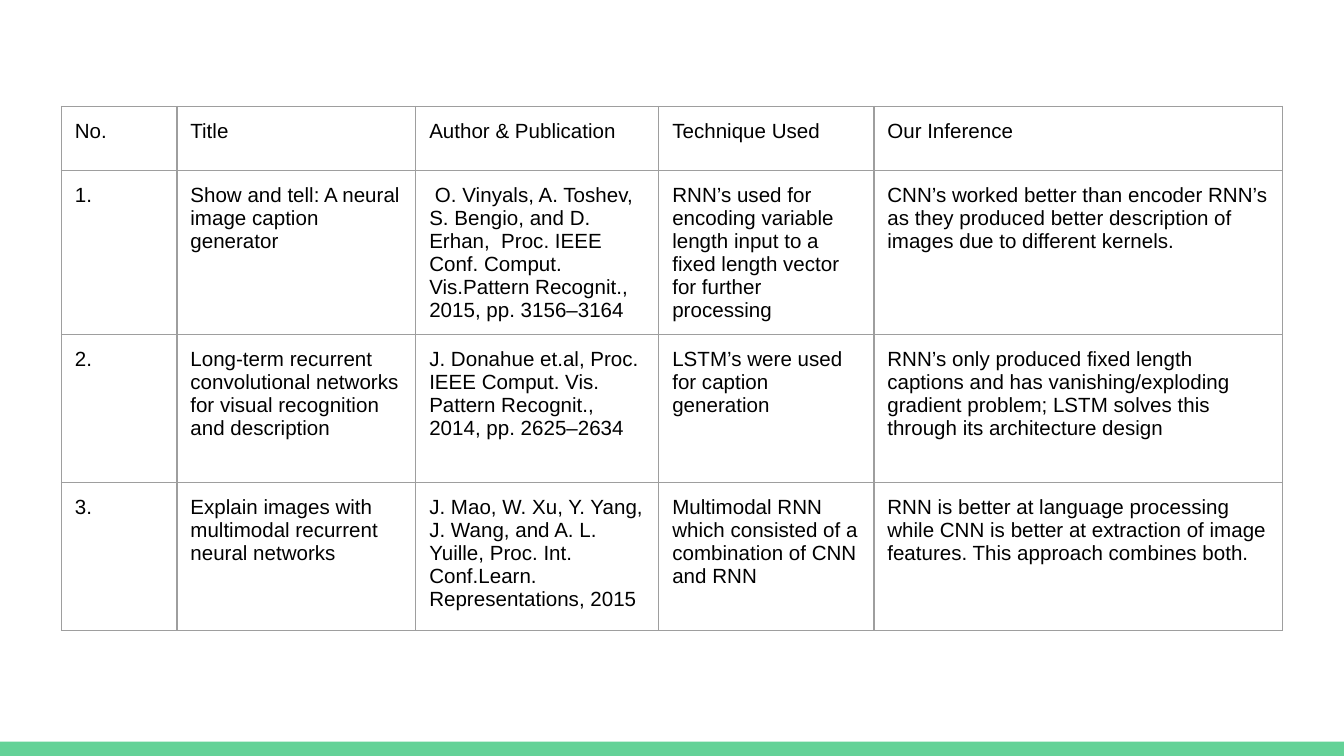
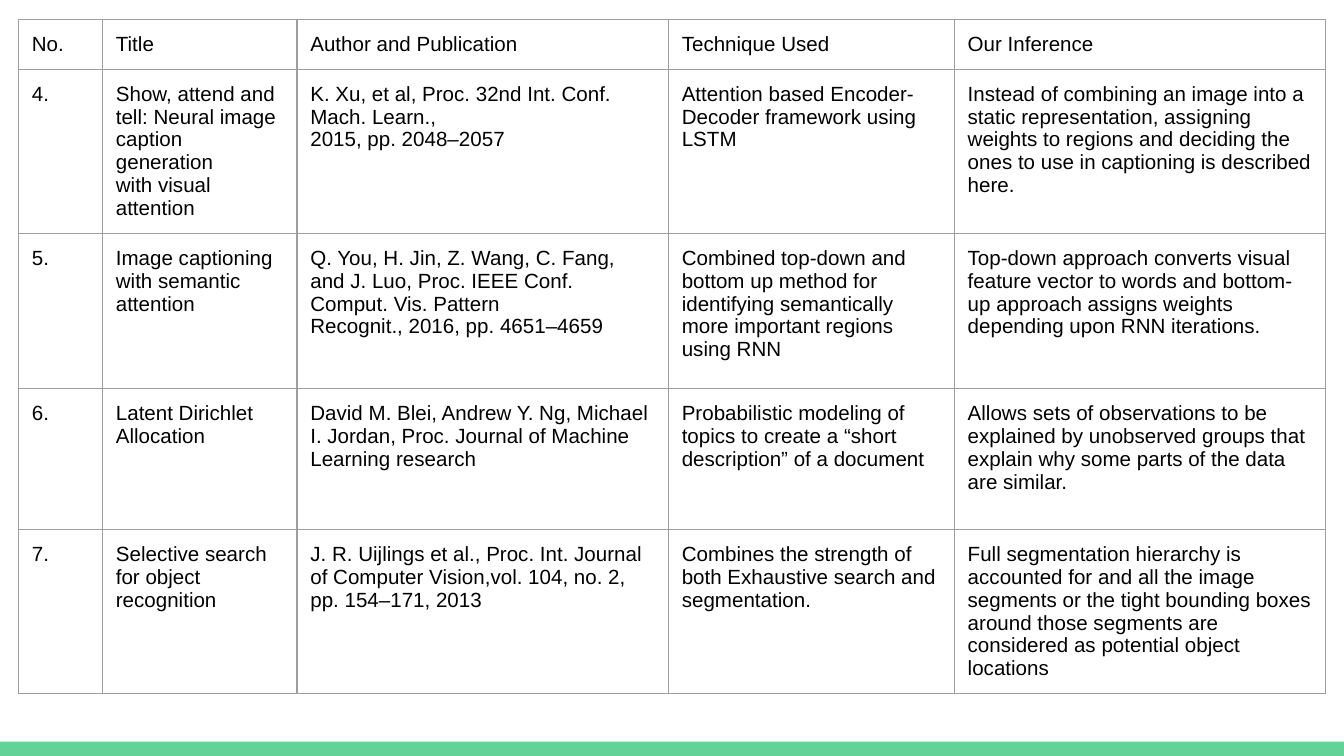
import pptx
import pptx.util
import pptx.dml.color
import pptx.enum.shapes
import pptx.oxml
from dataclasses import dataclass
from pptx.oxml.ns import nsdecls

Pt = pptx.util.Pt


@dataclass(frozen=True)
class Theme:
    font: str = "Arial"
    text_size: float = 11
    text_color: str = "000000"
    band_color: str = "63D297"
    border_color: str = "9E9E9E"
    border_width: float = 0.75
    cell_margin: float = 7.2


theme = Theme()


def color(value):
    return pptx.dml.color.RGBColor.from_string(value)


def format_cell(cell, text):
    cell.margin_left = cell.margin_right = Pt(theme.cell_margin)
    cell.margin_top = cell.margin_bottom = Pt(theme.cell_margin)
    cell.text_frame.text = text
    for para in cell.text_frame.paragraphs:
        for span in para.runs:
            span.font.name = theme.font
            span.font.size = Pt(theme.text_size)
            span.font.color.rgb = color(theme.text_color)
    properties = cell._tc.get_or_add_tcPr()
    for side in ("lnL", "lnR", "lnT", "lnB"):
        properties.append(pptx.oxml.parse_xml(
            f'<a:{side} {nsdecls("a")} w="{Pt(theme.border_width)}"><a:solidFill>'
            f'<a:srgbClr val="{theme.border_color}"/></a:solidFill></a:{side}>'))
    cell.fill.background()


surveys = [
    {
        "left": 32.9, "top": 57.1,
        "columns": [61.9, 128, 130.2, 115.2, 219.1],
        "heights": [34.4, 87.8, 79.2, 79.2],
        "rows": [
            ["No.", "Title", "Author & Publication", "Technique Used", "Our Inference"],
            ["1.",
             "Show and tell: A neural image caption generator",
             " O. Vinyals, A. Toshev, S. Bengio, and D. Erhan,  Proc. IEEE Conf. Comput. "
             "Vis.Pattern Recognit., 2015, pp. 3156–3164",
             "RNN’s used for encoding variable length input to a fixed length vector "
             "for further processing",
             "CNN’s worked better than encoder RNN’s as they produced better description "
             "of images due to different kernels."],
            ["2.",
             "Long-term recurrent convolutional networks for visual recognition and description",
             "J. Donahue et.al, Proc. IEEE Comput. Vis. Pattern Recognit., 2014, pp. 2625–2634",
             "LSTM’s were used for caption generation",
             "RNN’s only produced fixed length captions and has vanishing/exploding gradient "
             "problem; LSTM solves this through its architecture design"],
            ["3.",
             "Explain images with multimodal recurrent neural networks",
             "J. Mao, W. Xu, Y. Yang, J. Wang, and A. L. Yuille, Proc. Int. Conf.Learn. "
             "Representations, 2015",
             "Multimodal RNN which consisted of a combination of CNN and RNN",
             "RNN is better at language processing while CNN is better at extraction of image "
             "features. This approach combines both."],
        ],
    },
    {
        "left": 9.9, "top": 10.4,
        "columns": [45, 104.2, 199, 153.2, 198.8],
        "heights": [26.7, 87.8, 83.2, 75.5, 87.8],
        "rows": [
            ["No.", "Title", "Author and Publication", "Technique Used", "Our Inference"],
            ["4.",
             "Show, attend and tell: Neural image caption generation\nwith visual attention",
             "K. Xu, et al, Proc. 32nd Int. Conf. Mach. Learn.,\n2015, pp. 2048–2057",
             "Attention based Encoder-Decoder framework using LSTM",
             "Instead of combining an image into a static representation, assigning weights "
             "to regions and deciding the ones to use in captioning is described here."],
            ["5.",
             "Image captioning\nwith semantic attention",
             "Q. You, H. Jin, Z. Wang, C. Fang, and J. Luo, Proc. IEEE Conf. Comput. Vis. "
             "Pattern\nRecognit., 2016, pp. 4651–4659",
             "Combined top-down and bottom up method for identifying semantically more "
             "important regions using RNN",
             "Top-down approach converts visual feature vector to words and bottom-up "
             "approach assigns weights depending upon RNN iterations."],
            ["6.",
             "Latent Dirichlet Allocation",
             "David M. Blei, Andrew Y. Ng, Michael I. Jordan, Proc. Journal of Machine "
             "Learning research",
             "Probabilistic modeling of topics to create a “short description” of a document",
             "Allows sets of observations to be explained by unobserved groups that explain "
             "why some parts of the data are similar."],
            ["7.",
             "Selective search for object recognition",
             "J. R. Uijlings et al., Proc. Int. Journal of Computer Vision,vol. 104, no. 2, "
             "pp. 154–171, 2013",
             "Combines the strength of both Exhaustive search and segmentation.",
             "Full segmentation hierarchy is accounted for and all the image segments or the "
             "tight bounding boxes around those segments are considered as potential object "
             "locations"],
        ],
    },
]

deck = pptx.Presentation()
deck.slide_width = Pt(720)
deck.slide_height = Pt(405)
blank_layout = deck.slide_layouts[6]

for survey in surveys:
    page = deck.slides.add_slide(blank_layout)

    band = page.shapes.add_shape(
        pptx.enum.shapes.MSO_SHAPE.RECTANGLE, Pt(0), Pt(397.3), Pt(720), Pt(7.7))
    band.shadow.inherit = False
    band.fill.solid()
    band.fill.fore_color.rgb = color(theme.band_color)
    band.line.fill.background()

    rows, columns, heights = survey["rows"], survey["columns"], survey["heights"]
    table = page.shapes.add_table(
        len(rows), len(columns), Pt(survey["left"]), Pt(survey["top"]),
        Pt(sum(columns)), Pt(sum(heights))).table
    table.first_row = False
    table.horz_banding = False
    for column, width in zip(table.columns, columns):
        column.width = Pt(width)
    for row, height, texts in zip(table.rows, heights, rows):
        row.height = Pt(height)
        for cell, text in zip(row.cells, texts):
            format_cell(cell, text)

deck.save("out.pptx")
